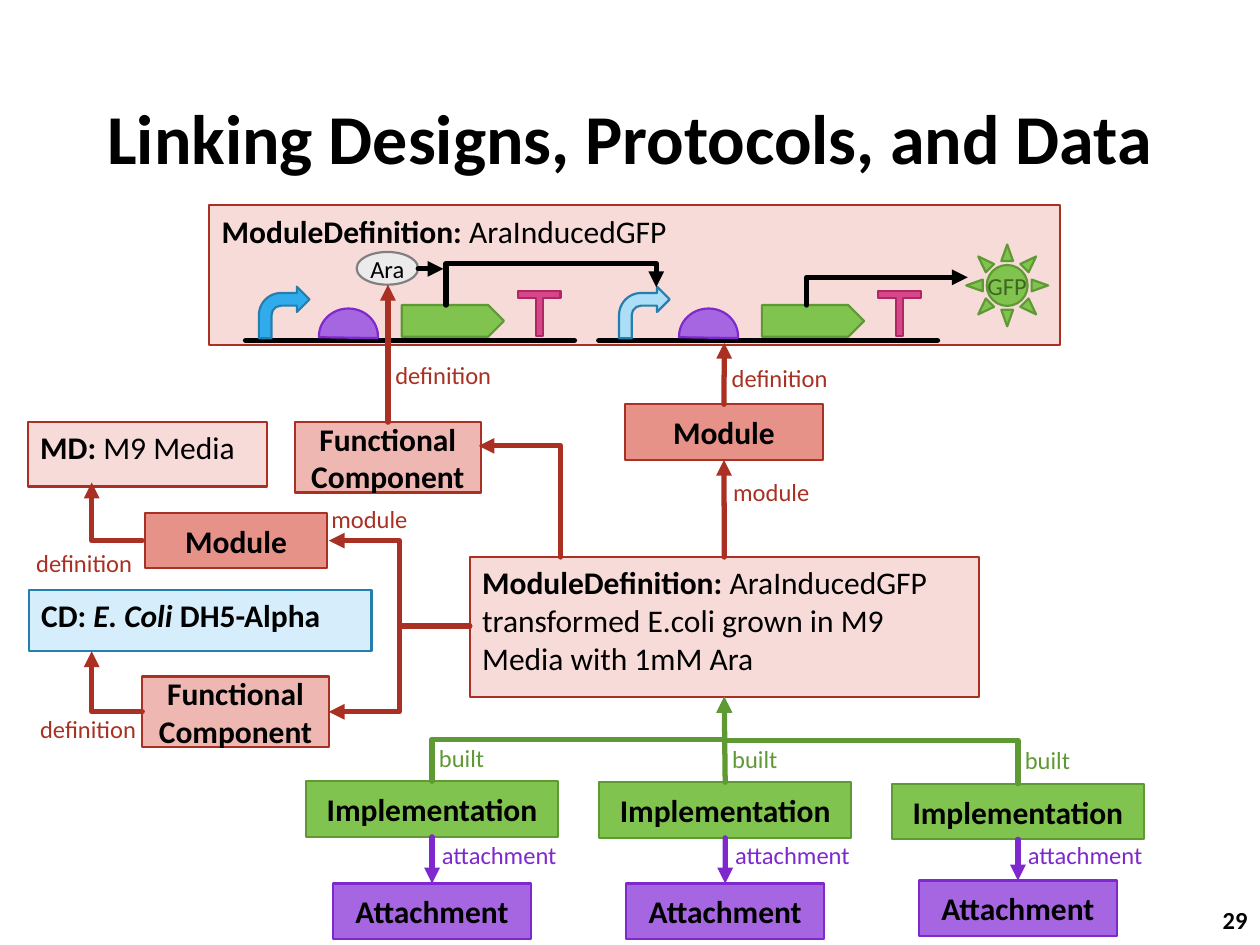
from dataclasses import dataclass

from lxml import etree
from pptx import Presentation
from pptx.dml.color import RGBColor
from pptx.enum.shapes import MSO_CONNECTOR, MSO_SHAPE
from pptx.enum.text import MSO_ANCHOR, PP_ALIGN
from pptx.oxml.ns import qn
from pptx.util import Cm, Pt

LEFT, CENTER, RIGHT = PP_ALIGN.LEFT, PP_ALIGN.CENTER, PP_ALIGN.RIGHT
TOP, MIDDLE = MSO_ANCHOR.TOP, MSO_ANCHOR.MIDDLE
RECTANGLE, OVAL, SUN = MSO_SHAPE.RECTANGLE, MSO_SHAPE.OVAL, MSO_SHAPE.SUN
BENT_ARROW, CHORD, PENTAGON = MSO_SHAPE.BENT_ARROW, MSO_SHAPE.CHORD, MSO_SHAPE.PENTAGON
T_ARROW = MSO_SHAPE.LEFT_RIGHT_UP_ARROW
STRAIGHT, ELBOW = MSO_CONNECTOR.STRAIGHT, MSO_CONNECTOR.ELBOW
TOP_SIDE, BOTTOM_SIDE = 0, 2


@dataclass(frozen=True)
class Theme:
    font: str = "Calibri"
    title_size: int = 40
    body_size: int = 18
    label_size: int = 14
    outline: float = 1.25
    link: float = 3
    black: str = "000000"
    red: str = "A93023"
    green: str = "5F9934"
    dark_green: str = "3F6623"
    purple: str = "7E28CD"
    # Fill and outline pairs
    definition: tuple = ("F7DBD8", "A93023")
    module: tuple = ("E69289", "A93023")
    component: tuple = ("EFB7B1", "A93023")
    strain: tuple = ("D6EEFB", "247FAF")
    implementation: tuple = ("80C34F", "5F9934")
    attachment: tuple = ("A666E1", "7E28CD")
    terminator: tuple = ("D64787", "AF2764")
    promoter: tuple = ("30ACEC", "247FAF")
    pale_promoter: tuple = ("ACDEF7", "247FAF")
    molecule: tuple = ("EBEBEB", "808080")


class Diagram:
    LABEL_WIDTHS = {"definition": 2.51, "module": 2.08, "built": 1.45, "attachment": 2.95}

    def __init__(self, page, theme):
        self.page, self.theme = page, theme
        self.canvas = page.shapes

    def start_group(self):
        self.canvas = self.page.shapes.add_group_shape().shapes

    def end_group(self):
        self.canvas = self.page.shapes

    def set_text(self, box, spans, size, color=None, align=LEFT, anchor=TOP, wrap=True):
        """Fill a box with one paragraph of (text, bold, italic) spans."""
        frame = box.text_frame
        frame.word_wrap, frame.vertical_anchor = wrap, anchor
        para = frame.paragraphs[0]
        para.alignment = align
        for text, bold, italic in spans:
            span = para.add_run()
            span.text = text
            font = span.font
            font.name, font.size = self.theme.font, Pt(size)
            font.bold, font.italic = bold, italic
            font.color.rgb = RGBColor.from_string(color or self.theme.black)

    def title(self, text, left, top, width, height):
        box = self.page.shapes.title
        box.left, box.top, box.width, box.height = map(Cm, (left, top, width, height))
        self.set_text(box, [(text, True, False)], self.theme.title_size,
                      align=CENTER, anchor=MIDDLE)

    def page_number(self, text, *bounds):
        box = self.canvas.add_textbox(*map(Cm, bounds))
        self.set_text(box, [(text, True, False)], self.theme.label_size,
                      align=RIGHT, anchor=MIDDLE)

    def label(self, text, left, top, color):
        width = self.LABEL_WIDTHS[text]
        box = self.canvas.add_textbox(Cm(left), Cm(top), Cm(width), Cm(0.86))
        self.set_text(box, [(text, False, False)], self.theme.label_size, color, wrap=False)

    def shape(self, kind, colors, *bounds, adjustments=(), rotation=0):
        shape = self.canvas.add_shape(kind, *map(Cm, bounds))
        shape.shadow.inherit = False
        shape.rotation = rotation
        fill, outline = colors
        shape.fill.solid()
        shape.fill.fore_color.rgb = RGBColor.from_string(fill)
        shape.line.color.rgb = RGBColor.from_string(outline)
        shape.line.width = Pt(self.theme.outline)
        for index, value in enumerate(adjustments):
            shape.adjustments[index] = value
        return shape

    def node(self, text, colors, *bounds):
        box = self.shape(RECTANGLE, colors, *bounds)
        self.set_text(box, [(text, True, False)], self.theme.body_size,
                      align=CENTER, anchor=MIDDLE)
        return box

    def note(self, spans, colors, *bounds):
        box = self.shape(RECTANGLE, colors, *bounds)
        self.set_text(box, spans, self.theme.body_size)
        return box

    def badge(self, text, kind, colors, *bounds, color=None):
        box = self.shape(kind, colors, *bounds)
        self.set_text(box, [(text, False, False)], self.theme.label_size, color,
                      CENTER, MIDDLE, False)

    def style_link(self, link, color, arrow):
        link.line.color.rgb = RGBColor.from_string(color)
        link.line.width = Pt(self.theme.link)
        properties = link._element.spPr
        outline = properties.find(qn("a:ln"))
        outline.set("cap", "rnd")
        if arrow:
            etree.SubElement(outline, qn("a:tailEnd")).set("type", "triangle")
        etree.SubElement(properties, qn("a:effectLst"))

    def straight(self, begin, end, color, arrow=True, source=None, target=None):
        """Straight line; source and target are (shape, side) joints."""
        link = self.canvas.add_connector(STRAIGHT, *map(Cm, begin + end))
        if source:
            link.begin_connect(*source)
        if target:
            link.end_connect(*target)
        self.style_link(link, color, arrow)

    def elbow(self, begin, end, color, bend=None, upward=False):
        """Bent arrow: one corner, or two when bend gives the turning point."""
        (x1, y1), (x2, y2) = begin, end
        if upward:  # lay the line flat about its centre, then turn it by 270 degrees
            middle_x, middle_y = (x1 + x2) / 2, (y1 + y2) / 2
            half_rise, half_run = (y1 - y2) / 2, (x2 - x1) / 2
            x1, x2 = middle_x - half_rise, middle_x + half_rise
            y1, y2 = middle_y - half_run, middle_y + half_run
        link = self.canvas.add_connector(ELBOW, Cm(x1), Cm(y1), Cm(x2), Cm(y2))
        properties = link._element.spPr
        if upward:
            properties.find(qn("a:xfrm")).set("rot", str(270 * 60000))
        geometry = properties.find(qn("a:prstGeom"))
        if bend is None:
            geometry.set("prst", "bentConnector2")
        else:
            guide = etree.SubElement(geometry.find(qn("a:avLst")), qn("a:gd"))
            guide.set("name", "adj1")
            guide.set("fmla", f"val {round(bend * 100000)}")
        self.style_link(link, color, True)


def draw_circuit(diagram, theme):
    diagram.start_group()
    diagram.note([("ModuleDefinition: ", True, False), ("AraInducedGFP", False, False)],
                 theme.definition, 4.22, 4.14, 17.15, 2.82)
    # Two gene cassettes with the same parts
    cassettes = [(0, 4.95, 11.58, theme.promoter), (7.26, 12.07, 18.9, theme.pale_promoter)]
    for shift, start, stop, promoter in cassettes:
        diagram.straight((start, 6.86), (stop, 6.86), theme.black, arrow=False)
        diagram.shape(CHORD, theme.attachment, 6.43 + shift, 6.22, 1.19, 1.12,
                      adjustments=(106.9, 2.146))
        diagram.shape(PENTAGON, theme.implementation, 8.1 + shift, 6.15, 2.06, 0.64)
        diagram.shape(T_ARROW, theme.terminator, 10.44 + shift, 5.87, 0.86, 0.91,
                      adjustments=(0.182, 0.081, 0), rotation=180)
        diagram.shape(BENT_ARROW, promoter, 5.22 + shift, 5.78, 1.02, 1.04)
    # Inducer, reporter and regulation arrows
    diagram.badge("Ara", OVAL, theme.molecule, 7.19, 5.08, 1.24, 0.66)
    diagram.badge("GFP", SUN, theme.implementation, 19.48, 4.93, 1.65, 1.65,
                  color=theme.dark_green)
    diagram.straight((8.43, 5.42), (8.94, 5.42), theme.black)
    diagram.elbow((8.99, 6.15), (13.23, 5.79), theme.black, bend=2.33, upward=True)
    diagram.elbow((16.26, 6.15), (19.51, 5.59), theme.black, upward=True)
    diagram.end_group()


def draw_definitions(diagram, theme):
    design = diagram.note(
        [("ModuleDefinition: ", True, False),
         ("AraInducedGFP transformed E.coli grown in M9 Media with 1mM Ara", False, False)],
        theme.definition, 9.47, 11.23, 10.26, 2.82)
    diagram.note([("MD: ", True, False), ("M9 Media", False, False)],
                 theme.definition, 0.56, 8.51, 4.83, 1.3)
    diagram.note([("CD: ", True, False), ("E. Coli ", True, True), ("DH5-Alpha", True, False)],
                 theme.strain, 0.58, 11.89, 6.91, 1.24)
    module = diagram.node("Module", theme.module, 12.6, 8.15, 3.99, 1.12)
    diagram.node("Module", theme.module, 2.92, 10.34, 3.68, 1.12)
    component = diagram.node("Functional Component", theme.component, 5.94, 8.51, 3.76, 1.42)
    diagram.node("Functional Component", theme.component, 2.87, 13.64, 3.76, 1.42)
    # Links between definitions and their parts
    diagram.straight((14.6, 11.23), (14.6, 9.27), theme.red,
                     source=(design, TOP_SIDE), target=(module, BOTTOM_SIDE))
    diagram.straight((14.6, 8.15), (14.6, 6.91), theme.red, source=(module, TOP_SIDE))
    diagram.straight((7.82, 8.51), (7.82, 5.74), theme.red, source=(component, TOP_SIDE))
    diagram.elbow((11.3, 11.23), (9.65, 8.99), theme.red, upward=True)
    for row, target in ((10.9, 9.73), (14.35, 13.13)):
        diagram.elbow((9.47, 12.62), (6.63, row), theme.red, bend=0.5)
        diagram.elbow((2.87, row), (1.85, target), theme.red)
    for text, left, top in (("module", 14.53, 9.5), ("module", 6.43, 10.03),
                            ("definition", 7.72, 7.14), ("definition", 14.5, 7.19),
                            ("definition", 0.56, 14.27), ("definition", 0.48, 10.92)):
        diagram.label(text, left, top, theme.red)
    return design


def draw_builds(diagram, theme, design):
    columns = [(8.71, 15.75, 17.81), (14.62, 15.77, 17.81), (20.52, 15.8, 17.75)]
    for center, top, data_top in columns:
        build = diagram.node("Implementation", theme.implementation,
                             center - 2.54, top, 5.08, 1.12)
        data = diagram.node("Attachment", theme.attachment, center - 2, data_top, 4, 1.12)
        diagram.straight((center, top + 1.12), (center, data_top), theme.purple,
                         source=(build, BOTTOM_SIDE), target=(data, TOP_SIDE))
        if center == 14.62:
            diagram.straight((center, top), (14.6, 14.05), theme.green,
                             source=(build, TOP_SIDE), target=(design, BOTTOM_SIDE))
        else:
            diagram.elbow((center, top), (14.6, 14.05), theme.green, bend=0.5, upward=True)
        diagram.label("built", center - 0.11, top - 0.9, theme.green)
        diagram.label("attachment", center - 0.05, 16.8, theme.purple)


def main():
    deck = Presentation()
    deck.slide_width, deck.slide_height = Cm(25.4), Cm(19.05)
    theme = Theme()
    diagram = Diagram(deck.slides.add_slide(deck.slide_layouts[5]), theme)
    diagram.title("Linking Designs, Protocols, and Data", 0, 0, 25.4, 5.51)
    diagram.page_number("29", 24.21, 18.03, 1.19, 1.02)
    draw_circuit(diagram, theme)
    design = draw_definitions(diagram, theme)
    draw_builds(diagram, theme, design)
    deck.save("out.pptx")


if __name__ == "__main__":
    main()
